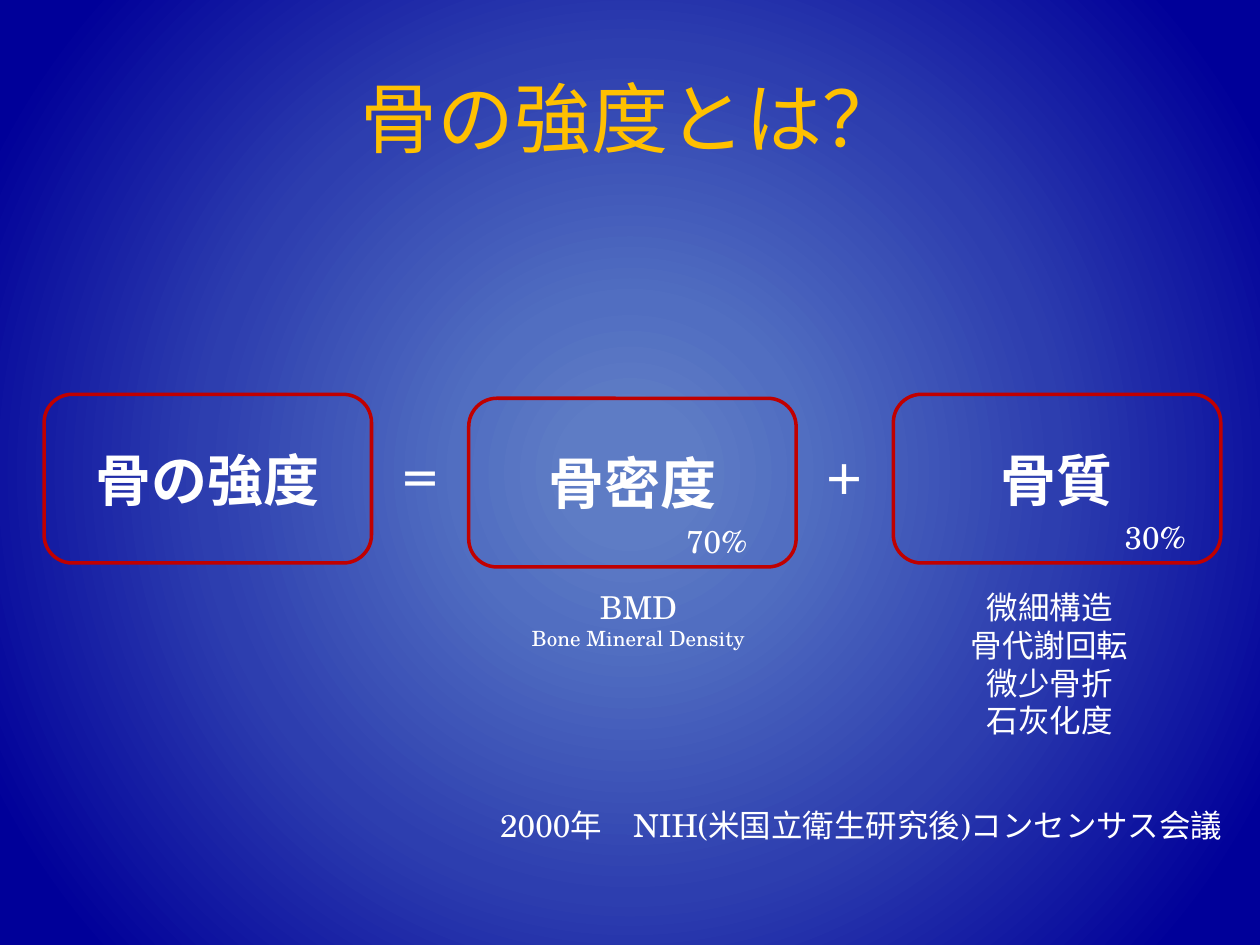
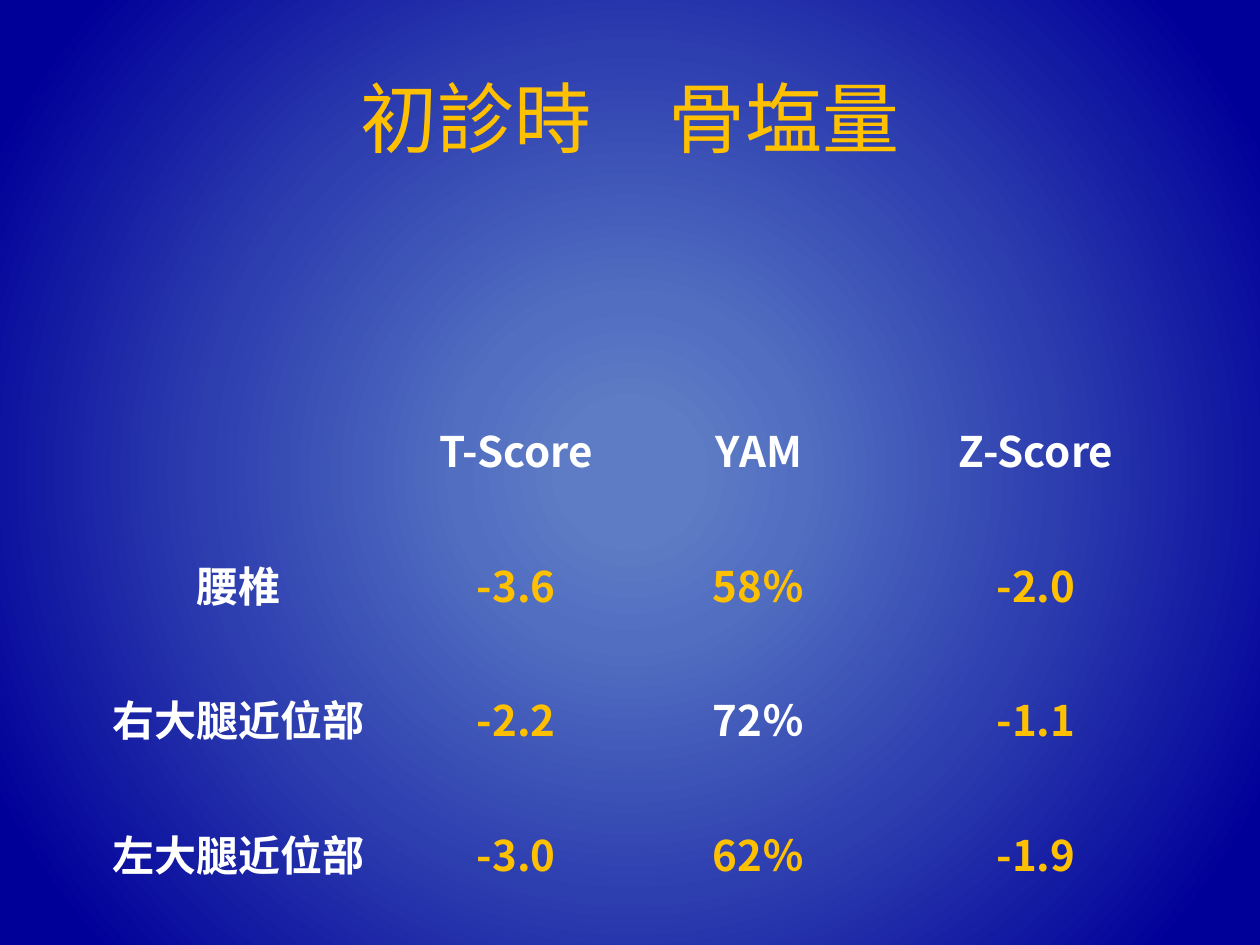
import pptx
import pptx.dml.color
import pptx.enum.shapes
import pptx.enum.text
import pptx.oxml
import pptx.oxml.ns
import pptx.util
from lxml import etree

Cm = pptx.util.Cm
Pt = pptx.util.Pt
qn = pptx.oxml.ns.qn
ALIGN = pptx.enum.text.PP_ALIGN
ANCHOR = pptx.enum.text.MSO_ANCHOR

WHITE, GOLD, RED = "FFFFFF", "FFC000", "C00000"
GRADIENT = [(8, "5E7CC5"), (22, "516EC1"), (54, "2D3EAF"), (91, "000099")]
SERIF, SANS = "TeX Gyre Schola", "Noto Sans CJK JP"
NO_STYLE = "{2D5ABB26-0587-4C30-8999-92F81FD0307C}"
TITLE_BOX = (1.27, 0.76, 22.86, 3.18)


def rgb(color):
    """Turn a hex string into a colour."""
    return pptx.dml.color.RGBColor.from_string(color)


def set_background(master):
    """Give the master the radial blue gradient that all slides share."""
    master.background.fill.gradient()
    gradient = master.element.find(".//" + qn("p:bgPr")).find(qn("a:gradFill"))
    for child in list(gradient):
        gradient.remove(child)
    stops = etree.SubElement(gradient, qn("a:gsLst"))
    for position, color in GRADIENT:
        stop = etree.SubElement(stops, qn("a:gs"), pos=str(position * 1000))
        etree.SubElement(stop, qn("a:srgbClr"), val=color)
    route = etree.SubElement(gradient, qn("a:path"))
    route.set("path", "circle")
    etree.SubElement(route, qn("a:fillToRect"), l="50000", t="50000", r="50000", b="50000")


def write(frame, text, sizes, color=WHITE, bold=False, align=ALIGN.CENTER, font=SERIF):
    """Fill a text frame, with one size for each paragraph or one for all."""
    frame.text = text
    for index, paragraph in enumerate(frame.paragraphs):
        paragraph.alignment = align
        for run in paragraph.runs:
            run.font.name = font
            run.font.size = Pt(sizes[min(index, len(sizes) - 1)])
            run.font.bold = bold
            run.font.color.rgb = rgb(color)
            etree.SubElement(run.font._element, qn("a:ea"), typeface=SANS)


def add_text(slide, box, text, sizes, **style):
    """Add a wrapping text box."""
    shape = slide.shapes.add_textbox(*map(Cm, box))
    shape.text_frame.word_wrap = True
    write(shape.text_frame, text, sizes, **style)


def add_titled_slide(presentation, title):
    """Add a title-only slide with the gold title."""
    slide = presentation.slides.add_slide(presentation.slide_layouts[5])
    shape = slide.shapes.title
    shape.left, shape.top, shape.width, shape.height = map(Cm, TITLE_BOX)
    shape.text_frame.vertical_anchor = ANCHOR.MIDDLE
    write(shape.text_frame, title, [44], GOLD)
    return slide


def add_factor(slide, box, name):
    """Add one red-framed term of the equation."""
    shape = slide.shapes.add_shape(
        pptx.enum.shapes.MSO_SHAPE.ROUNDED_RECTANGLE, *map(Cm, box))
    shape.shadow.inherit = False
    shape.fill.background()
    shape.line.color.rgb = rgb(RED)
    shape.line.width = Pt(2)
    shape.text_frame.vertical_anchor = ANCHOR.MIDDLE
    write(shape.text_frame, name, [32], bold=True)


def add_equation(slide, box):
    """Lay out the three terms at an equal pitch with the signs between them."""
    left, top, width, height = box
    term_width = 6.6
    pitch = (width - term_width) / 2
    lefts = [left + index * pitch for index in range(3)]
    for term_left, drop, name in zip(lefts, (0, 0.08, 0), ("骨の強度", "骨密度", "骨質")):
        add_factor(slide, (term_left, top + drop, term_width, height), name)
    for term_left, sign in zip(lefts, "＝＋"):
        add_text(slide, (term_left + 6.48, top + 1.07, 2.2, 1.27), sign, [24], bold=True)
    note_top = top + 3.78
    add_text(slide, (lefts[1] - 0.15, note_top, 7.14, 1.55),
             "BMD\nBone Mineral Density", [18, 12])
    add_text(slide, (lefts[2] + 0.43, note_top, 5.44, 3.33),
             "微細構造\n骨代謝回転\n微少骨折\n石灰化度", [18])
    add_text(slide, (lefts[1] + 3.4, top + 2.44, 3.2, 1.02), "70%", [18])
    add_text(slide, (lefts[2] + 3.68, top + 2.36, 3.2, 1.02), "30%", [18])


def add_score_table(slide, box):
    """Add the bone density scores, with low values in gold."""
    rows = [
        ("", "T-Score", "YAM", "Z-Score"),
        ("腰椎", "-3.6", "58％", "-2.0"),
        ("右大腿近位部", "-2.2", "72％", "-1.1"),
        ("左大腿近位部", "-3.0", "62％", "-1.9"),
    ]
    frame = slide.shapes.add_table(len(rows) + 1, 4, *map(Cm, box))
    table = frame.table
    table.first_row = table.horz_banding = False
    next(frame._element.iter(qn("a:tableStyleId"))).text = NO_STYLE
    for column, width in zip(table.columns, (7.01, 4.19, 5.59, 5.59)):
        column.width = Cm(width)
    for index, row in enumerate(table.rows):
        row.height = Cm(2.7 if index else 1.55)
    for cell in table.iter_cells():
        cell.fill.background()
    table.cell(0, 0).merge(table.cell(0, 3))
    for row_index, values in enumerate(rows, 1):
        for column_index, value in enumerate(values):
            is_label = row_index == 1 or column_index == 0
            color = WHITE if is_label or value == "72％" else GOLD
            text_frame = table.cell(row_index, column_index).text_frame
            write(text_frame, value, [24], color, bold=True, font=SANS)
            if value:
                text_frame.paragraphs[0].line_spacing = 2.0


def build_strength_slide(presentation):
    """Build the slide that defines bone strength."""
    slide = add_titled_slide(presentation, "骨の強度とは？")
    add_equation(slide, (0.89, 7.95, 23.72, 3.4))
    add_text(slide, (8.1, 16.13, 16.79, 1.02),
             "2000年　NIH(米国立衛生研究後)コンセンサス会議", [18], align=ALIGN.RIGHT)


def build_score_slide(presentation):
    """Build the slide with the scores at the first visit."""
    slide = add_titled_slide(presentation, "初診時　骨塩量")
    add_score_table(slide, (1.3, 5.54, 22.38, 12.35))


def main():
    """Build and save the presentation."""
    presentation = pptx.Presentation()
    presentation.slide_width, presentation.slide_height = Cm(25.4), Cm(19.05)
    set_background(presentation.slide_master)
    build_strength_slide(presentation)
    build_score_slide(presentation)
    presentation.save("out.pptx")


if __name__ == "__main__":
    main()
